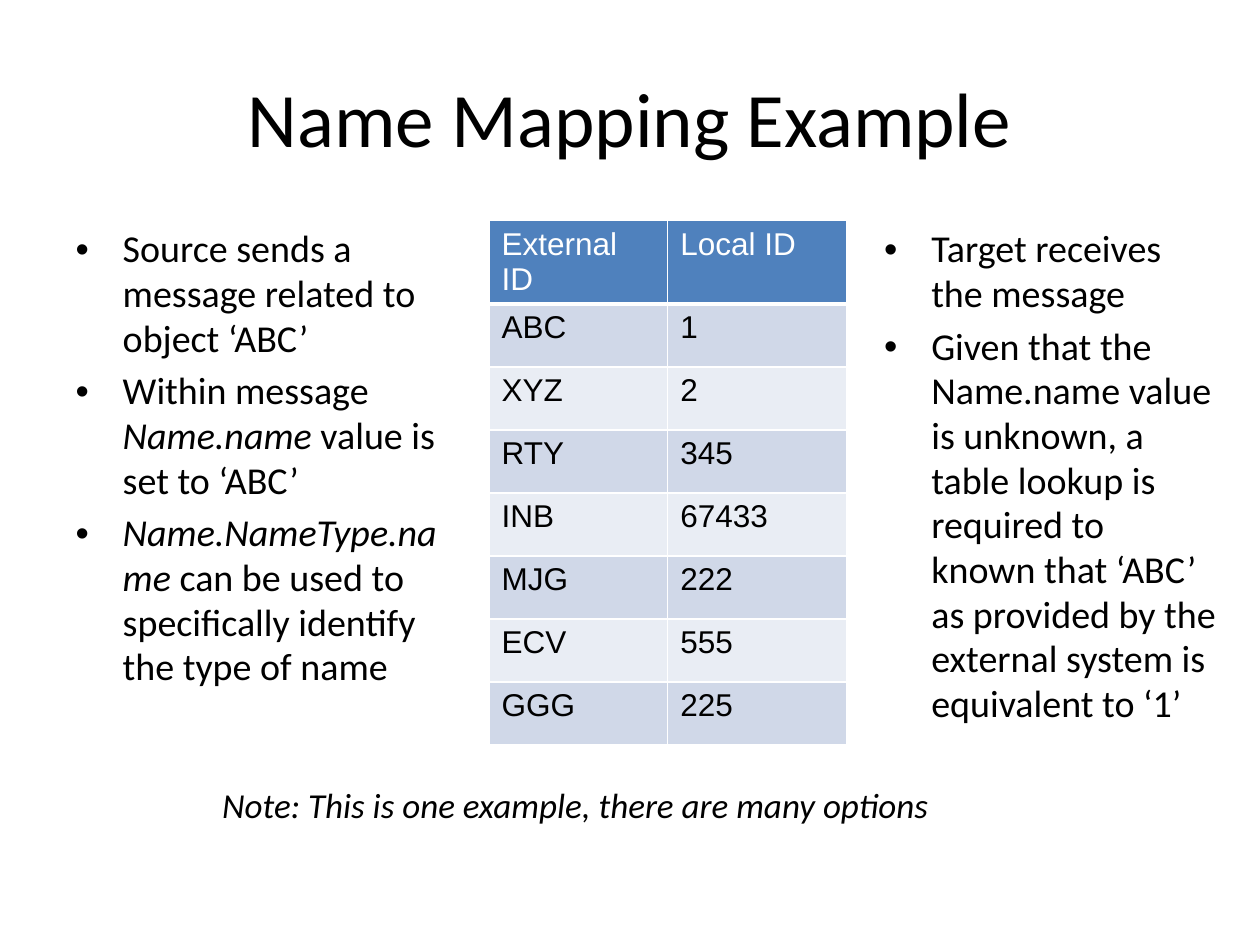
"""Build the Name Mapping Example slide with two bullet lists and a lookup table."""
from dataclasses import dataclass

from lxml import etree
from pptx import Presentation
from pptx import util as u
from pptx.dml.color import RGBColor
from pptx.enum import text
from pptx.oxml.ns import qn

BLACK = RGBColor(0x00, 0x00, 0x00)
WHITE = RGBColor(0xFF, 0xFF, 0xFF)
HEADER_BLUE = RGBColor(0x4F, 0x81, 0xBD)
BANDS = (RGBColor(0xD0, 0xD8, 0xE8), RGBColor(0xE9, 0xED, 0xF4))


@dataclass(frozen=True)
class Box:
    left: float
    top: float
    width: float
    height: float

    def lengths(self) -> tuple:
        return tuple(u.Cm(value) for value in (self.left, self.top, self.width, self.height))


@dataclass(frozen=True)
class Phrase:
    words: str
    italic: bool = False


@dataclass(frozen=True)
class BulletList:
    box: Box
    items: tuple


TITLE_BOX = Box(1.27, 0.76, 22.86, 3.18)
TABLE_BOX = Box(9.86, 4.45, 7.2, 10.44)
NOTE_BOX = Box(4.23, 15.66, 18.42, 1.11)
HEADER_HEIGHT, ROW_HEIGHT = 1.55, 1.27

SOURCE_LIST = BulletList(Box(1.27, 4.45, 8.26, 12.57), (
    (Phrase("Source sends a message related to object ‘ABC’"),),
    (Phrase("Within message "), Phrase("Name.name", True),
     Phrase(" value is set to ‘ABC’")),
    (Phrase("Name.NameType.name", True),
     Phrase(" can be used to specifically identify the type of name")),
))
TARGET_LIST = BulletList(Box(17.57, 4.45, 7.2, 10.59), (
    (Phrase("Target receives the message"),),
    (Phrase("Given that the Name.name value is unknown, a table lookup is required to "
            "known that ‘ABC’ as provided by the external system is equivalent to ‘1’"),),
))
MAPPING = (
    ("External ID", "Local ID"),
    ("ABC", "1"),
    ("XYZ", "2"),
    ("RTY", "345"),
    ("INB", "67433"),
    ("MJG", "222"),
    ("ECV", "555"),
    ("GGG", "225"),
)


def place(shape, box: Box) -> None:
    shape.left, shape.top, shape.width, shape.height = box.lengths()


def set_font(paragraph, size: float, name: str = "Calibri", color: RGBColor = BLACK) -> None:
    font = paragraph.font
    font.name, font.size = name, u.Pt(size)
    font.color.rgb = color


def add_bullet(paragraph) -> None:
    properties = paragraph._p.get_or_add_pPr()
    properties.set("marL", str(u.Cm(0.95)))
    properties.set("indent", str(u.Cm(-0.95)))
    etree.SubElement(properties, qn("a:buFont"), typeface="Arial")
    etree.SubElement(properties, qn("a:buChar"), char="•")


def fill_list(shape, bullets: BulletList) -> None:
    place(shape, bullets.box)
    frame = shape.text_frame
    frame.auto_size = text.MSO_AUTO_SIZE.NONE
    for index, phrases in enumerate(bullets.items):
        paragraph = frame.add_paragraph() if index else frame.paragraphs[0]
        paragraph.line_spacing = 0.98
        paragraph.space_before = u.Pt(4.5 if index else 0)
        add_bullet(paragraph)
        set_font(paragraph, 21.7)
        for phrase in phrases:
            run = paragraph.add_run()
            run.text = phrase.words
            if phrase.italic:
                run.font.italic = True


def set_borders(cell, bottom: float) -> None:
    properties = cell._tc.get_or_add_tcPr()
    widths = {"a:lnL": 1, "a:lnR": 1, "a:lnT": 1, "a:lnB": bottom}
    for position, (tag, width) in enumerate(widths.items()):
        line = etree.Element(qn(tag), w=str(u.Pt(width)))
        fill = etree.SubElement(line, qn("a:solidFill"))
        etree.SubElement(fill, qn("a:srgbClr"), val=str(WHITE))
        properties.insert(position, line)


def add_mapping_table(slide) -> None:
    table = slide.shapes.add_table(len(MAPPING), len(MAPPING[0]), *TABLE_BOX.lengths()).table
    for row_index, values in enumerate(MAPPING):
        header = row_index == 0
        table.rows[row_index].height = u.Cm(HEADER_HEIGHT if header else ROW_HEIGHT)
        for column_index, value in enumerate(values):
            cell = table.cell(row_index, column_index)
            cell.text = value
            cell.fill.solid()
            cell.fill.fore_color.rgb = HEADER_BLUE if header else BANDS[(row_index - 1) % 2]
            set_borders(cell, 3 if header else 1)
            paragraph = cell.text_frame.paragraphs[0]
            set_font(paragraph, 18, "Arial", WHITE if header else BLACK)
            paragraph.font.bold = False


def add_note(slide) -> None:
    frame = slide.shapes.add_textbox(*NOTE_BOX.lengths()).text_frame
    frame.word_wrap = True
    frame.auto_size = text.MSO_AUTO_SIZE.SHAPE_TO_FIT_TEXT
    paragraph = frame.paragraphs[0]
    paragraph.text = "Note: This is one example, there are many options"
    set_font(paragraph, 20)
    paragraph.font.italic = True


def main() -> None:
    presentation = Presentation()
    presentation.slide_width, presentation.slide_height = u.Cm(25.4), u.Cm(19.05)
    slide = presentation.slides.add_slide(presentation.slide_layouts.get_by_name("Two Content"))
    title, source, target = slide.placeholders
    place(title, TITLE_BOX)
    title.text_frame.text = "Name Mapping Example"
    title.text_frame.vertical_anchor = text.MSO_ANCHOR.MIDDLE
    heading = title.text_frame.paragraphs[0]
    heading.alignment = text.PP_ALIGN.CENTER
    set_font(heading, 44)
    fill_list(source, SOURCE_LIST)
    fill_list(target, TARGET_LIST)
    add_mapping_table(slide)
    add_note(slide)
    presentation.save("out.pptx")


if __name__ == "__main__":
    main()
